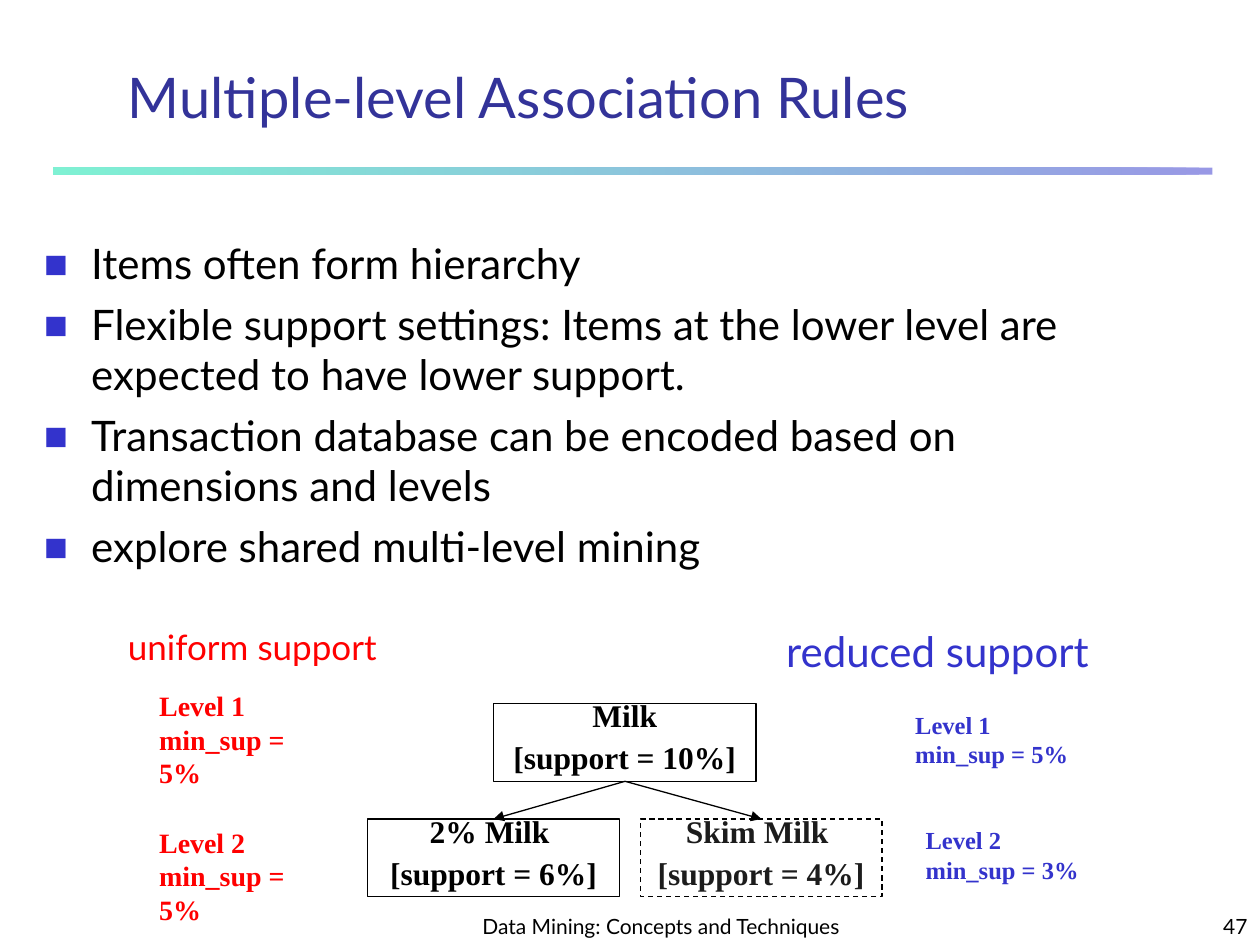
"""Builds the slide on multiple-level association rules."""
from dataclasses import dataclass

from lxml.etree import SubElement
from pptx import Presentation
from pptx.dml.color import RGBColor
from pptx.enum.dml import MSO_LINE
from pptx.enum.shapes import MSO_CONNECTOR, MSO_SHAPE
from pptx.enum.text import MSO_ANCHOR, PP_ALIGN
from pptx.oxml.ns import qn
from pptx.util import Cm, Pt


@dataclass(frozen=True)
class Theme:
    heading: str = "333399"
    accent: str = "3333CC"
    mint: str = "00E4A8"
    red: str = "FF0000"
    black: str = "000000"
    soft_black: str = "1C1C1C"
    white: str = "FFFFFF"
    sans: str = "Lato"
    serif: str = "Times New Roman"
    title: int = 32
    body: int = 24
    caption: int = 20
    node: int = 18
    level_large: int = 16
    level_small: int = 14
    footer: int = 12


T = Theme()


class SlideBuilder:
    def __init__(self, prs):
        self.s = prs.slides.add_slide(prs.slide_layouts[6])

    def paragraphs(self, tf, lines, size, color, para=None, gap=0, bullet=False, **font):
        for i, line in enumerate(lines):
            p = tf.paragraphs[0] if i == 0 else tf.add_paragraph()
            if bullet:
                self.bullet(p)
            for name, value in (para or {}).items():
                setattr(p, name, value)
            p.space_before = Pt(gap if i else 0)
            r = p.add_run()
            r.text = line
            for name, value in {"name": T.sans, "size": Pt(size), **font}.items():
                setattr(r.font, name, value)
            r.font.color.rgb = RGBColor.from_string(color)

    def bullet(self, p):
        pPr = p._p.get_or_add_pPr()
        pPr.set("marL", str(Cm(0.95)))
        pPr.set("indent", str(-Cm(0.95)))
        SubElement(SubElement(pPr, qn("a:buClr")), qn("a:srgbClr"), val=T.accent)
        SubElement(pPr, qn("a:buSzPct"), val="60000")
        SubElement(pPr, qn("a:buFont"), typeface=T.sans)
        SubElement(pPr, qn("a:buChar"), char="■")

    def text(self, box, lines, size, color, anchor=MSO_ANCHOR.TOP, wrap=True, **style):
        tf = self.s.shapes.add_textbox(*map(Cm, box)).text_frame
        tf.word_wrap = wrap
        tf.vertical_anchor = anchor
        self.paragraphs(tf, lines, size, color, **style)

    def rect(self, box):
        sp = self.s.shapes.add_shape(MSO_SHAPE.RECTANGLE, *map(Cm, box))
        sp.shadow.inherit = False
        return sp

    def half_transparent(self, sp):
        for fill in sp._element.spPr.iterchildren(qn("a:solidFill"), qn("a:gradFill")):
            for rgb in fill.iter(qn("a:srgbClr")):
                SubElement(rgb, qn("a:alpha"), val="50000")

    def rule(self, box):
        sp = self.rect(box)
        sp.line.fill.background()
        sp.fill.gradient()
        sp.fill.gradient_angle = 180
        for stop, color in zip(sp.fill.gradient_stops, (T.accent, T.mint)):
            stop.color.rgb = RGBColor.from_string(color)
        self.half_transparent(sp)

    def node(self, box, lines, color=T.black, dashed=False):
        sp = self.rect(box)
        sp.fill.solid()
        sp.fill.fore_color.rgb = RGBColor.from_string(T.white)
        self.outline(sp.line)
        if dashed:
            sp.line.dash_style = MSO_LINE.DASH
            self.half_transparent(sp)
        tf = sp.text_frame
        tf.word_wrap = True
        tf.vertical_anchor = MSO_ANCHOR.TOP
        para = {"alignment": PP_ALIGN.CENTER, "line_spacing": 0.6}
        self.paragraphs(tf, lines, T.node, color, para, gap=11.2, name=T.serif, bold=True)

    def outline(self, line):
        line.color.rgb = RGBColor.from_string(T.black)
        line.width = Pt(0.75)

    def arrow(self, start, end):
        cx = self.s.shapes.add_connector(MSO_CONNECTOR.STRAIGHT, *map(Cm, start + end))
        self.outline(cx.line)
        spPr = cx._element.spPr
        SubElement(spPr.find(qn("a:ln")), qn("a:tailEnd"), type="triangle")
        SubElement(spPr, qn("a:effectLst"))


def main():
    prs = Presentation()
    prs.slide_width, prs.slide_height = Cm(25.4), Cm(19.05)
    b = SlideBuilder(prs)

    b.rule((1.07, 3.38, 23.37, 0.14))
    b.text((2.33, 1.06, 21.65, 1.69), ["Multiple-level Association Rules"],
           T.title, T.heading, MSO_ANCHOR.BOTTOM)
    b.text((0.64, 4.66, 23.28, 13.55), [
        "Items often form hierarchy",
        "Flexible support settings: Items at the lower level are expected to have lower support.",
        "Transaction database can be encoded based on dimensions and levels",
        "explore shared multi-level mining",
    ], T.body, T.black, gap=6, bullet=True)

    b.text((2.33, 12.49, 6.77, 1.27), ["uniform support"], T.caption, T.red)
    b.text((15.6, 12.49, 7.14, 1.27), ["reduced support"], T.body, T.accent, wrap=False)

    top, low, height = 14.18, 16.51, 1.57
    b.node((9.95, top, 5.29, height), ["Milk", "[support = 10%]"])
    b.node((7.41, low, 5.08, height), ["2% Milk ", "[support = 6%]"])
    b.node((12.91, low, 4.87, height), ["Skim Milk ", "[support = 4%]"],
           T.soft_black, dashed=True)
    for x in (9.95, 15.35):
        b.arrow((12.6, top + height), (x, low))

    levels = [
        (2.96, 13.76, 1, 5, T.level_large, T.red),
        (2.96, low, 2, 5, T.level_large, T.red),
        (18.2, top, 1, 5, T.level_small, T.accent),
        (18.41, low, 2, 3, T.level_small, T.accent),
    ]
    for x, y, level, support, size, color in levels:
        b.text((x, y, 4, 1.6), [f"Level {level}", f"min_sup = {support}%"],
               size, color, wrap=False, name=T.serif, bold=True)

    footers = [
        (9.31, 8.04, "Data Mining: Concepts and Techniques", PP_ALIGN.CENTER),
        (20.11, 5.29, "47", PP_ALIGN.RIGHT),
    ]
    for x, width, line, align in footers:
        b.text((x, 17.99, width, 1.06), [line], T.footer, T.black,
               MSO_ANCHOR.BOTTOM, para={"alignment": align})
    prs.save("out.pptx")


if __name__ == "__main__":
    main()
